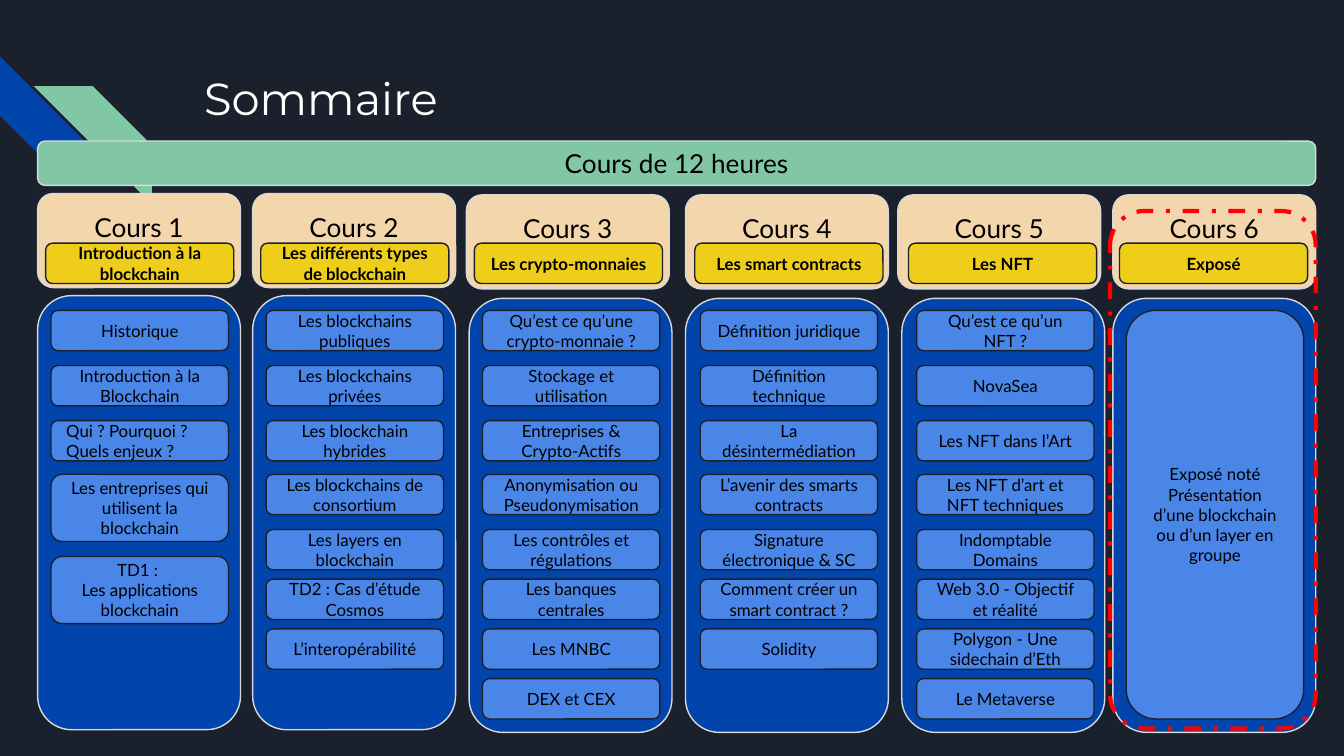
from pptx import Presentation
from pptx.dml.color import RGBColor
from pptx.enum.dml import MSO_LINE_DASH_STYLE as Dash
from pptx.enum.shapes import MSO_SHAPE as Shape
from pptx.enum.text import MSO_ANCHOR as Anchor, PP_ALIGN as Align
from pptx.util import Inches, Pt

TITLE = "Sommaire"
DURATION = "Cours de 12 heures"
COURSES = [
    ("Cours 1", "Introduction à la blockchain", [
        "Historique", "Introduction à la Blockchain",
        "Qui ? Pourquoi ?\nQuels enjeux ?",
        "Les entreprises qui utilisent la blockchain",
        "TD1 : \nLes applications blockchain"]),
    ("Cours 2", "Les différents types de blockchain", [
        "Les blockchains publiques", "Les blockchains privées",
        "Les blockchain hybrides", "Les blockchains de consortium",
        "Les layers en blockchain", "TD2 : Cas d’étude\nCosmos",
        "L’interopérabilité"]),
    ("Cours 3", "Les crypto-monnaies", [
        "Qu’est ce qu’une crypto-monnaie ?", "Stockage et utilisation",
        "Entreprises & Crypto-Actifs", "Anonymisation ou Pseudonymisation",
        "Les contrôles et régulations", "Les banques centrales",
        "Les MNBC", "DEX et CEX"]),
    ("Cours 4", "Les smart contracts", [
        "Définition juridique", "Définition technique",
        "La désintermédiation", "L’avenir des smarts contracts",
        "Signature électronique & SC", "Comment créer un smart contract ?",
        "Solidity"]),
    ("Cours 5", "Les NFT", [
        "Qu’est ce qu’un NFT ?", "NovaSea", "Les NFT dans l’Art",
        "Les NFT d’art et NFT techniques", "Indomptable Domains",
        "Web 3.0 - Objectif et réalité", "Polygon - Une sidechain d’Eth",
        "Le Metaverse"]),
    ("Cours 6", "Exposé", [
        "Exposé noté\nPrésentation d’une blockchain ou d’un layer en groupe"]),
]
HEIGHTS = {
    "Les entreprises qui utilisent la blockchain": 0.5,
    "TD1 : \nLes applications blockchain": 0.5,
    COURSES[5][2][0]: 3.04,
}
LEFT_ALIGNED = {"Qui ? Pourquoi ?\nQuels enjeux ?"}

# head left, panel left, theme left, lesson left, head top, panel top
COLUMNS = [
    (0.28, 0.28, 0.34, 0.38, 1.44, 2.2),
    (1.88, 1.88, 1.94, 1.98, 1.44, 2.2),
    (3.47, 3.49, 3.53, 3.59, 1.45, 2.22),
    (5.1, 5.1, 5.17, 5.21, 1.45, 2.22),
    (6.68, 6.71, 6.76, 6.82, 1.45, 2.22),
    (8.28, 8.28, 8.33, 8.38, 1.45, 2.22),
]
ROW_TOPS = [2.31, 2.72, 3.13, 3.53, 3.94, 4.31, 4.68, 5.05]
ROW_HEIGHT = 0.3

NAVY, BLUE, GREEN, GREY = "1B212C", "0145AC", "82C7A5", "D9D9D9"
SAND, YELLOW, SKY, RED = "F4D6AD", "EECE1A", "4A86E8", "FF0000"
HEADING = {"name": "Lato", "size": Pt(14)}
THEME = {"name": "Lato", "size": Pt(9), "bold": True}
LESSON = {"name": "Lato", "size": Pt(9)}
TITLE_FONT = {"name": "Montserrat", "size": Pt(24)}


def color(hex_value):
    return RGBColor.from_string(hex_value)


def write(shape, text, font, ink="000000", align=Align.CENTER, anchor=Anchor.MIDDLE):
    frame = shape.text_frame
    frame.text = text
    layout = {"word_wrap": True, "vertical_anchor": anchor}
    layout.update({f"margin_{side}": Inches(0.1)
                   for side in ("left", "top", "right", "bottom")})
    for name, value in layout.items():
        setattr(frame, name, value)
    for paragraph in frame.paragraphs:
        paragraph.alignment = align
        for name, value in font.items():
            setattr(paragraph.font, name, value)
        paragraph.font.color.rgb = color(ink)


def draw(slide, box, fill=None, line=None, kind=Shape.ROUNDED_RECTANGLE, width=0.75):
    shape = slide.shapes.add_shape(kind, *map(Inches, box))
    shape.shadow.inherit = False
    if fill:
        shape.fill.solid()
        shape.fill.fore_color.rgb = color(fill)
    else:
        shape.fill.background()
    if line:
        shape.line.color.rgb = color(line)
        shape.line.width = Pt(width)
    else:
        shape.line.fill.background()
    return shape


def draw_course(slide, course, column):
    heading, theme, lessons = course
    head_left, panel_left, theme_left, lesson_left, head_top, panel_top = column
    head = draw(slide, (head_left, head_top, 1.51, 0.7), SAND, GREY)
    write(head, heading, HEADING, anchor=Anchor.TOP)
    draw(slide, (panel_left, panel_top, 1.51, 3.23), BLUE, GREY)
    write(draw(slide, (theme_left, 1.81, 1.4, 0.3), YELLOW, NAVY), theme, THEME)
    shift = 0
    for lesson, top in zip(lessons, ROW_TOPS):
        height = HEIGHTS.get(lesson, ROW_HEIGHT)
        card = draw(slide, (lesson_left, top + shift, 1.32, height), SKY, NAVY)
        align = Align.LEFT if lesson in LEFT_ALIGNED else Align.CENTER
        write(card, lesson, LESSON, align=align)
        shift += height - ROW_HEIGHT


def main():
    deck = Presentation()
    deck.slide_width = Inches(10)
    deck.slide_height = deck.slide_width * 9 // 16
    slide = deck.slides.add_slide(deck.slide_layouts[6])
    slide.background.fill.solid()
    slide.background.fill.fore_color.rgb = color(NAVY)

    blue_stripe = draw(slide, (0, 0.42, 0.88, 0.88), BLUE, kind=Shape.DIAGONAL_STRIPE)
    blue_stripe.rotation = 270
    green_stripe = draw(slide, (0.25, 0.64, 0.88, 0.88), GREEN, kind=Shape.DIAGONAL_STRIPE)
    green_stripe.element.spPr.xfrm.set("flipH", "1")

    title = slide.shapes.add_textbox(*map(Inches, (1.42, 0.43, 7.7, 1)))
    write(title, TITLE, TITLE_FONT, "FFFFFF", Align.LEFT, Anchor.TOP)
    banner = draw(slide, (0.28, 1.05, 9.51, 0.33), GREEN, GREY,
                  Shape.FLOWCHART_ALTERNATE_PROCESS)
    write(banner, DURATION, HEADING)

    for course, column in zip(COURSES, COLUMNS):
        draw_course(slide, course, column)

    highlight = draw(slide, (8.26, 1.57, 1.53, 3.85), line=RED, width=2.25)
    highlight.line.dash_style = Dash.DASH_DOT
    deck.save("out.pptx")


if __name__ == "__main__":
    main()
